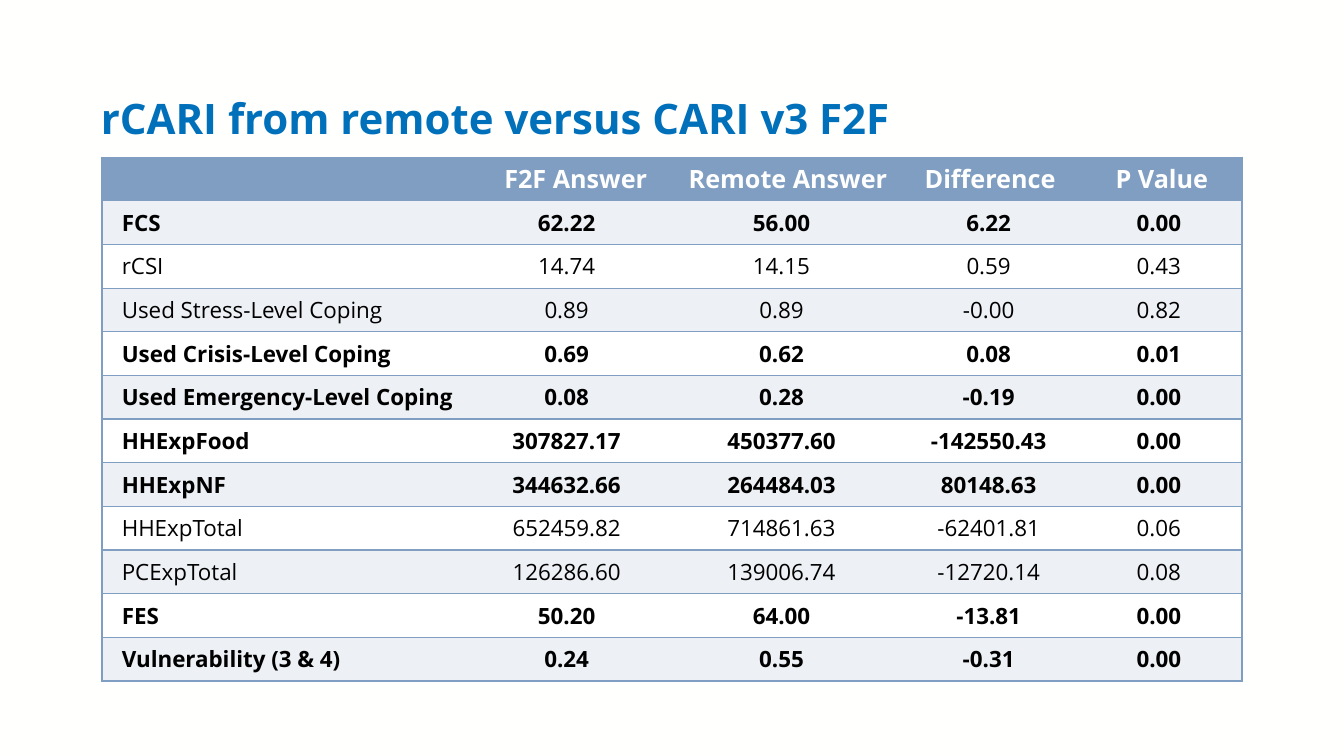
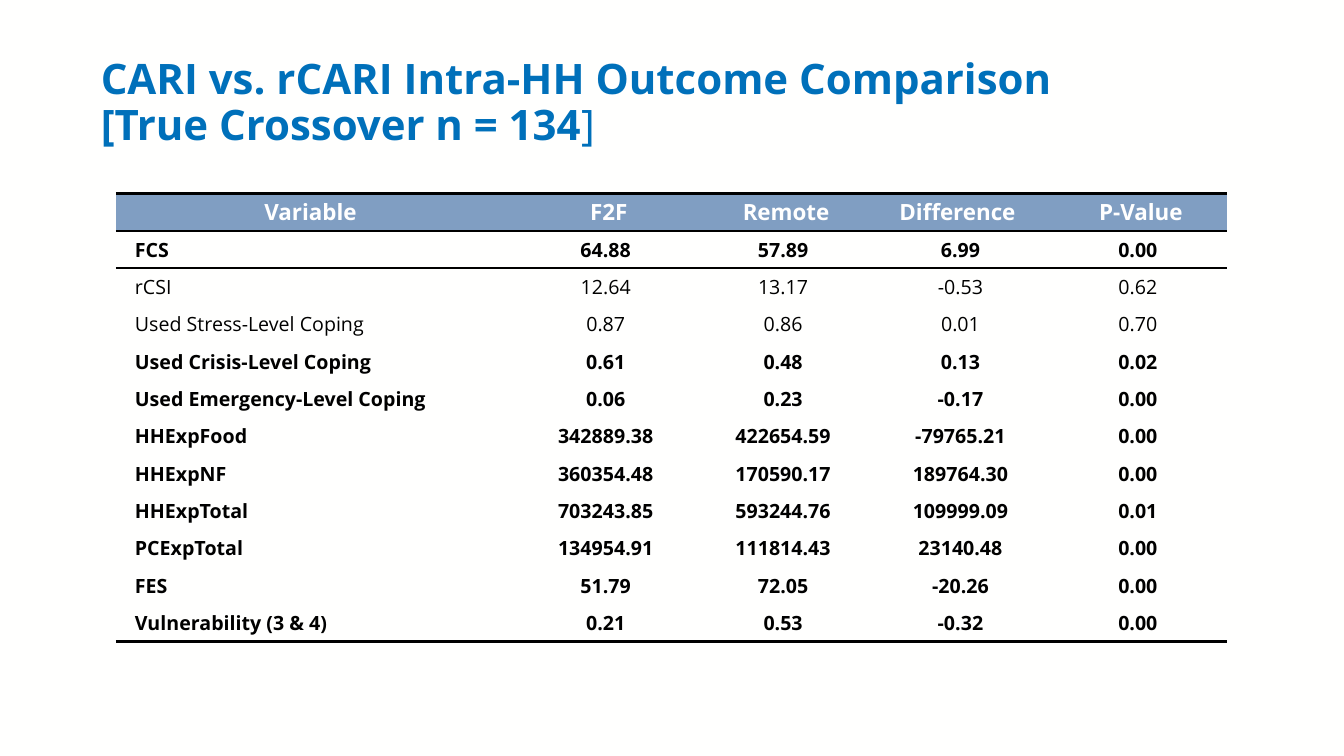
from lxml.etree import SubElement
from pptx import Presentation
from pptx.dml.color import RGBColor
from pptx.enum.text import MSO_ANCHOR as Anchor, PP_ALIGN as Align
from pptx.oxml.ns import qn
from pptx.util import Cm, Pt


def style(run, size, shade, bold):
    look = {"name": "Open Sans", "size": Pt(size), "bold": bold}
    for key, value in look.items():
        setattr(run.font, key, value)
    run.font.color.rgb = RGBColor.from_string(shade)


def edge(cell, side, shade, width):
    line = SubElement(cell._tc.get_or_add_tcPr(), qn(f"a:ln{side}"), w=str(Pt(width)))
    fill = SubElement(line, qn("a:solidFill"))
    SubElement(fill, qn("a:srgbClr"), val=shade)


BLUE, STEEL, PALE = "0070BA", "809EC2", "EDF0F4"
WHITE, BLACK, PAPER = "FFFFFF", "000000", "FFFFFE"
PLAIN = "{2D5ABB26-0587-4C30-8999-92F81FD0307C}"
LEFT, MID, RIGHT = Align.LEFT, Align.CENTER, Align.RIGHT
PAD, WIDE = 0.36, 0.51

labels = [
    "FCS", "rCSI", "Used Stress-Level Coping", "Used Crisis-Level Coping",
    "Used Emergency-Level Coping", "HHExpFood", "HHExpNF", "HHExpTotal",
    "PCExpTotal", "FES", "Vulnerability (3 & 4)",
]

pages = [
    {
        "title": [[("rCARI from remote versus CARI v3 F2F", True)]],
        "top": 1.45,
        "place": (2.57, 3.96),
        "cols": [9.32, 4.78, 6.05, 4.39, 4.19],
        "row": 1.1,
        "sizes": (18, 16),
        "inset": 0.5,
        "grid": True,
        "heads": [
            ("", LEFT, PAD, PAD),
            ("F2F Answer", RIGHT, PAD, PAD),
            ("Remote Answer", RIGHT, PAD, PAD),
            ("Difference", RIGHT, PAD, WIDE),
            ("P Value", MID, WIDE, PAD),
        ],
        "data": [
            ("62.22", "56.00", "6.22", "0.00"),
            ("14.74", "14.15", "0.59", "0.43"),
            ("0.89", "0.89", "-0.00", "0.82"),
            ("0.69", "0.62", "0.08", "0.01"),
            ("0.08", "0.28", "-0.19", "0.00"),
            ("307827.17", "450377.60", "-142550.43", "0.00"),
            ("344632.66", "264484.03", "80148.63", "0.00"),
            ("652459.82", "714861.63", "-62401.81", "0.06"),
            ("126286.60", "139006.74", "-12720.14", "0.08"),
            ("50.20", "64.00", "-13.81", "0.00"),
            ("0.24", "0.55", "-0.31", "0.00"),
        ],
    },
    {
        "title": [
            [("CARI vs. rCARI Intra-HH Outcome Comparison", True)],
            [("[True Crossover n = 134", True), ("]", False)],
        ],
        "top": 1.02,
        "place": (2.92, 4.88),
        "cols": [10.11, 4.47, 4.47, 4.47, 4.47],
        "row": 0.94,
        "sizes": (16, 14),
        "inset": 0.48,
        "grid": False,
        "heads": [
            ("Variable", MID, PAD, 0.66),
            ("F2F", MID, WIDE, PAD),
            ("Remote", MID, WIDE, PAD),
            ("Difference", MID, PAD, WIDE),
            ("P-Value", MID, WIDE, PAD),
        ],
        "data": [
            ("64.88", "57.89", "6.99", "0.00"),
            ("12.64", "13.17", "-0.53", "0.62"),
            ("0.87", "0.86", "0.01", "0.70"),
            ("0.61", "0.48", "0.13", "0.02"),
            ("0.06", "0.23", "-0.17", "0.00"),
            ("342889.38", "422654.59", "-79765.21", "0.00"),
            ("360354.48", "170590.17", "189764.30", "0.00"),
            ("703243.85", "593244.76", "109999.09", "0.01"),
            ("134954.91", "111814.43", "23140.48", "0.00"),
            ("51.79", "72.05", "-20.26", "0.00"),
            ("0.21", "0.53", "-0.32", "0.00"),
        ],
    },
]

deck = Presentation()
deck.slide_width, deck.slide_height = Cm(33.87), Cm(19.05)
back = deck.slide_master.background.fill
back.solid()
back.fore_color.rgb = RGBColor.from_string(PAPER)

for page in pages:
    slide = deck.slides.add_slide(deck.slide_layouts[6])

    box = slide.shapes.add_textbox(Cm(2.29), Cm(page["top"]), Cm(29.29), Cm(3.2))
    frame = box.text_frame
    frame.word_wrap = True
    frame.vertical_anchor = Anchor.MIDDLE
    for i, parts in enumerate(page["title"]):
        para = frame.add_paragraph() if i else frame.paragraphs[0]
        para.line_spacing = 0.9
        for text, bold in parts:
            run = para.add_run()
            run.text = text
            style(run, 30, BLUE, bold)

    rows = [page["heads"]]
    for label, nums in zip(labels, page["data"]):
        rows.append([(label, LEFT, page["inset"], PAD)]
                    + [(num, MID, PAD, PAD) for num in nums])
    last, end = len(rows) - 1, len(page["cols"]) - 1

    left, top = page["place"]
    item = slide.shapes.add_table(
        len(rows), len(page["cols"]), Cm(left), Cm(top),
        Cm(sum(page["cols"])), Cm(page["row"] * len(rows)))
    item.element.xpath(".//a:tableStyleId")[0].text = PLAIN
    table = item.table
    table.horz_banding = False
    for col, width in zip(table.columns, page["cols"]):
        col.width = Cm(width)

    for r, row in enumerate(rows):
        table.rows[r].height = Cm(page["row"])
        head = r == 0
        bold = head or float(row[-1][0]) < 0.05
        for c, (text, align, before, after) in enumerate(row):
            cell = table.cell(r, c)
            form = {
                "margin_left": Cm(before), "margin_right": Cm(after),
                "margin_top": 0, "margin_bottom": 0,
                "vertical_anchor": Anchor.MIDDLE,
            }
            for key, value in form.items():
                setattr(cell, key, value)

            if page["grid"]:
                sides = {"L": c == 0, "R": c == end, "T": True, "B": True}
                ink, width = STEEL, 1
            else:
                sides = {"T": r in (0, 1), "B": r in (0, last)}
                ink, width = BLACK, 2
            for side, drawn in sides.items():
                if drawn:
                    edge(cell, side, ink, width)

            if head or page["grid"]:
                cell.fill.solid()
                shade = STEEL if head else PALE if r % 2 else WHITE
                cell.fill.fore_color.rgb = RGBColor.from_string(shade)

            para = cell.text_frame.paragraphs[0]
            para.alignment = align
            if text:
                run = para.add_run()
                run.text = text
                style(run, page["sizes"][0 if head else 1], WHITE if head else BLACK, bold)

deck.save("out.pptx")
